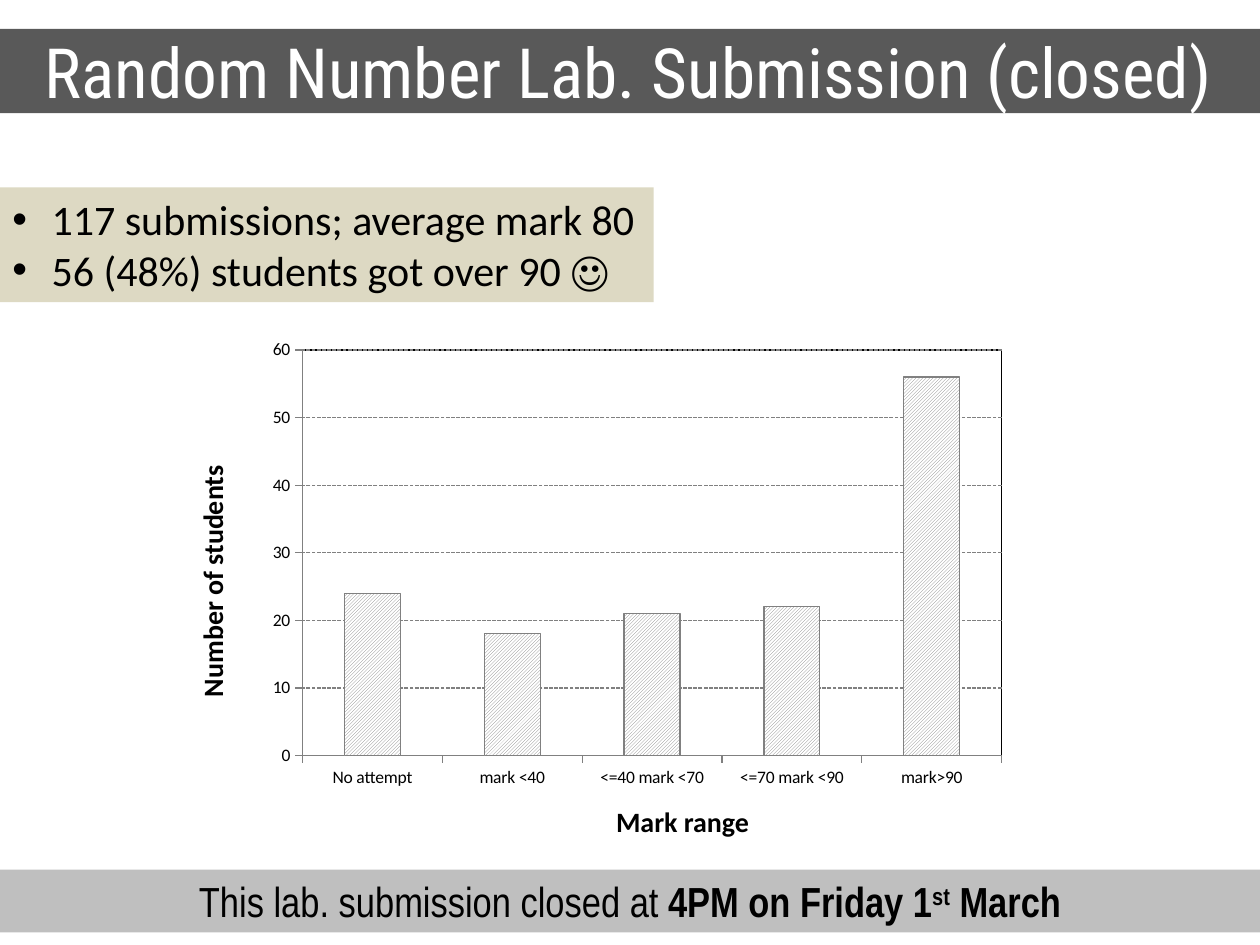
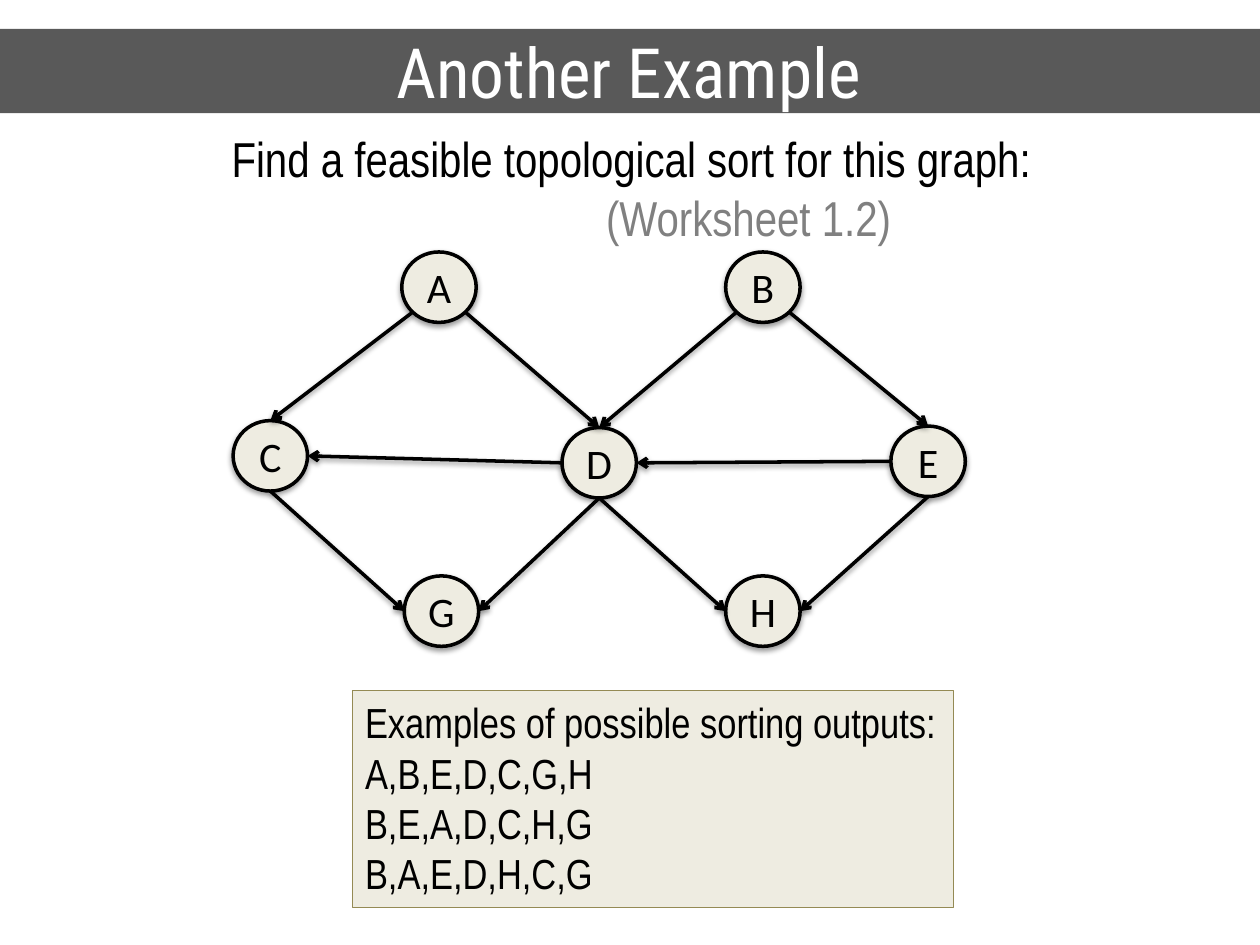
from math import cos, radians, sin

from lxml import etree
from pptx import Presentation
from pptx.chart.data import CategoryChartData
from pptx.dml.color import RGBColor
from pptx.enum.chart import XL_CHART_TYPE, XL_TICK_MARK
from pptx.enum.dml import MSO_LINE, MSO_PATTERN
from pptx.enum.shapes import MSO_CONNECTOR, MSO_SHAPE
from pptx.enum.text import MSO_ANCHOR, MSO_AUTO_SIZE, PP_ALIGN
from pptx.oxml.ns import qn
from pptx.util import Cm, Pt

LEFT, CENTER = PP_ALIGN.LEFT, PP_ALIGN.CENTER
TOP, MIDDLE = MSO_ANCHOR.TOP, MSO_ANCHOR.MIDDLE
RECTANGLE, OVAL = MSO_SHAPE.RECTANGLE, MSO_SHAPE.OVAL
STRAIGHT = MSO_CONNECTOR.STRAIGHT
COLUMN_CLUSTERED = XL_CHART_TYPE.COLUMN_CLUSTERED
TICK_OUTSIDE = XL_TICK_MARK.OUTSIDE
SHORT_DASH = MSO_LINE.SQUARE_DOT
DIAGONAL = MSO_PATTERN.LIGHT_UPWARD_DIAGONAL
NO_AUTOFIT = MSO_AUTO_SIZE.NONE

BLACK = RGBColor(0x00, 0x00, 0x00)
WHITE = RGBColor(0xFF, 0xFF, 0xFF)
CHARCOAL = RGBColor(0x59, 0x59, 0x59)
GREY = RGBColor(0x80, 0x80, 0x80)
SILVER = RGBColor(0xBF, 0xBF, 0xBF)
TAN = RGBColor(0xDD, 0xD9, 0xC3)
CREAM = RGBColor(0xEE, 0xEC, 0xE1)
OLIVE = RGBColor(0x94, 0x8A, 0x54)

TITLE_FONT, BODY_FONT, NARROW_FONT = "Roboto Condensed", "Calibri", "Arial Narrow"
TITLE_BOX = (-0.05, 0.58, 25.45, 1.7)

RESULTS_TITLE = "Random Number Lab. Submission (closed)"
RESULTS = ["117 submissions; average mark 80", "56 (48%) students got over 90 ☺"]
DEADLINE = [
    ("This lab. submission closed at ", {}),
    ("4PM on Friday 1", {"bold": True}),
    ("st", {"bold": True, "superscript": True}),
    (" March", {"bold": True}),
]
MARK_COUNTS = {
    "No attempt": 24,
    "mark <40": 18,
    "<=40 mark <70": 21,
    "<=70 mark <90": 22,
    "mark>90": 56,
}
PLOT_LAYOUT = {"x": 0.06, "y": 0.04, "w": 0.92, "h": 0.87}

EXAMPLE_TITLE = "Another Example"
TASK = "Find a feasible topological sort for this graph:"
WORKSHEET = "(Worksheet 1.2)"
SORTS = ["Examples of possible sorting outputs:", "A,B,E,D,C,G,H", "B,E,A,D,C,H,G", "B,A,E,D,H,C,G"]
NODE_WIDTH, NODE_HEIGHT = 1.5, 1.42
NODES = {
    "A": (8.85, 5.79),
    "B": (15.38, 5.79),
    "C": (5.45, 9.19),
    "D": (12.08, 9.33),
    "E": (18.71, 9.3),
    "G": (8.9, 12.32),
    "H": (15.38, 12.32),
}
ANGLES = {"right": 0, "lower right": 45, "bottom": 90, "lower left": 135, "left": 180, "top": 270}
EDGES = [
    ("A", "lower left", "C", "top"),
    ("A", "lower right", "D", "top"),
    ("D", "bottom", "G", "right"),
    ("C", "bottom", "G", "left"),
    ("D", "left", "C", "right"),
    ("B", "lower left", "D", "top"),
    ("E", "left", "D", "right"),
    ("B", "lower right", "E", "top"),
    ("D", "bottom", "H", "left"),
    ("E", "bottom", "H", "right"),
]


def lengths(values):
    return [Cm(value) for value in values]


def format_run(run, size=24, font=BODY_FONT, color=BLACK, bold=False, superscript=False):
    run.font.size = Pt(size)
    run.font.name = font
    run.font.color.rgb = color
    run.font.bold = bold
    if superscript:
        run._r.get_or_add_rPr().set("baseline", "30000")


def add_bullet(paragraph):
    properties = paragraph._p.get_or_add_pPr()
    properties.set("marL", str(Cm(0.79)))
    properties.set("indent", str(-Cm(0.79)))
    etree.SubElement(properties, qn("a:buFont")).set("typeface", "Arial")
    etree.SubElement(properties, qn("a:buChar")).set("char", "•")


def write_text(shape, paragraphs, align=LEFT, anchor=TOP, wrap=True, bullets=False, **run_format):
    frame = shape.text_frame
    frame.word_wrap = wrap
    frame.auto_size = NO_AUTOFIT
    frame.vertical_anchor = anchor
    for index, content in enumerate(paragraphs):
        paragraph = frame.add_paragraph() if index else frame.paragraphs[0]
        paragraph.alignment = align
        if bullets:
            add_bullet(paragraph)
        runs = [(content, {})] if isinstance(content, str) else content
        for text, changes in runs:
            run = paragraph.add_run()
            run.text = text
            format_run(run, **{**run_format, **changes})
    return frame


def add_label(slide, box, paragraphs, **text_format):
    label = slide.shapes.add_textbox(*lengths(box))
    write_text(label, paragraphs, **text_format)
    return label


def add_panel(slide, box, paragraphs, fill, line=None, line_width=0.75, kind=RECTANGLE, **text_format):
    panel = slide.shapes.add_shape(kind, *lengths(box))
    panel.shadow.inherit = False
    panel.fill.solid()
    panel.fill.fore_color.rgb = fill
    if line is None:
        panel.line.fill.background()
    else:
        panel.line.color.rgb = line
        panel.line.width = Pt(line_width)
    write_text(panel, paragraphs, **text_format)
    return panel


def add_titled_slide(presentation, title):
    slide = presentation.slides.add_slide(presentation.slide_layouts[5])
    shape = slide.shapes.title
    shape.left, shape.top, shape.width, shape.height = lengths(TITLE_BOX)
    shape.fill.solid()
    shape.fill.fore_color.rgb = CHARCOAL
    write_text(shape, [title], align=CENTER, anchor=MIDDLE, size=39.6, font=TITLE_FONT, color=WHITE)
    return slide


def add_soft_shadow(shape):
    properties = shape._element.spPr
    effects = properties.find(qn("a:effectLst"))
    if effects is None:
        effects = etree.SubElement(properties, qn("a:effectLst"))
    shadow = etree.SubElement(effects, qn("a:outerShdw"))
    for name, value in (("blurRad", Pt(3.1)), ("dist", Pt(1.6)), ("dir", 90 * 60000), ("rotWithShape", 0)):
        shadow.set(name, str(value))
    color = etree.SubElement(shadow, qn("a:srgbClr"))
    color.set("val", str(BLACK))
    etree.SubElement(color, qn("a:alpha")).set("val", "38000")


def place_plot(chart):
    plot_area = chart._chartSpace.chart.plotArea
    for existing in plot_area.findall(qn("c:layout")):
        plot_area.remove(existing)
    layout = etree.Element(qn("c:layout"))
    manual = etree.SubElement(layout, qn("c:manualLayout"))
    settings = {"layoutTarget": "inner", "xMode": "edge", "yMode": "edge", **PLOT_LAYOUT}
    for name, value in settings.items():
        etree.SubElement(manual, qn(f"c:{name}")).set("val", str(value))
    plot_area.insert(0, layout)
    border = etree.SubElement(etree.SubElement(plot_area, qn("c:spPr")), qn("a:ln"))
    border.set("w", str(Pt(0.75)))
    fill = etree.SubElement(border, qn("a:solidFill"))
    etree.SubElement(fill, qn("a:srgbClr")).set("val", str(BLACK))


def style_line(line):
    line.color.rgb = GREY
    line.width = Pt(0.75)


def add_mark_chart(slide, box):
    data = CategoryChartData()
    data.categories = list(MARK_COUNTS)
    data.add_series("Series 1", list(MARK_COUNTS.values()))
    chart = slide.shapes.add_chart(COLUMN_CLUSTERED, *lengths(box), data).chart
    chart.has_legend = False
    chart.has_title = False
    chart.font.size = Pt(10)
    chart.font.name = BODY_FONT
    chart.font.color.rgb = BLACK
    for axis in (chart.category_axis, chart.value_axis):
        axis.major_tick_mark = TICK_OUTSIDE
        style_line(axis.format.line)
    value_axis = chart.value_axis
    value_axis.minimum_scale, value_axis.maximum_scale, value_axis.major_unit = 0, 60, 10
    value_axis.has_major_gridlines = True
    gridline = value_axis.major_gridlines.format.line
    style_line(gridline)
    gridline.dash_style = SHORT_DASH
    plot = chart.plots[0]
    plot.gap_width = 150
    plot.vary_by_categories = False
    series = plot.series[0]
    series.invert_if_negative = False
    fill = series.format.fill
    fill.patterned()
    fill.pattern = DIAGONAL
    fill.fore_color.rgb = GREY
    fill.back_color.rgb = WHITE
    style_line(series.format.line)
    place_plot(chart)


def node_point(name, side):
    x, y = NODES[name]
    angle = radians(ANGLES[side])
    return x + NODE_WIDTH / 2 * cos(angle), y + NODE_HEIGHT / 2 * sin(angle)


def add_graph(slide):
    for name, (x, y) in NODES.items():
        box = (x - NODE_WIDTH / 2, y - NODE_HEIGHT / 2, NODE_WIDTH, NODE_HEIGHT)
        node = add_panel(slide, box, [name], CREAM, line=BLACK, line_width=2, kind=OVAL,
                         align=CENTER, anchor=MIDDLE, wrap=False)
        add_soft_shadow(node)
    for start, start_side, end, end_side in EDGES:
        points = node_point(start, start_side) + node_point(end, end_side)
        arrow = slide.shapes.add_connector(STRAIGHT, *lengths(points))
        arrow.line.color.rgb = BLACK
        arrow.line.width = Pt(2)
        line = arrow._element.spPr.find(qn("a:ln"))
        etree.SubElement(line, qn("a:tailEnd")).set("type", "arrow")
        add_soft_shadow(arrow)


def build_results_slide(presentation):
    slide = add_titled_slide(presentation, RESULTS_TITLE)
    add_panel(slide, (0, 3.78, 13.18, 2.31), RESULTS, TAN, bullets=True)
    add_panel(slide, (0, 17.53, 25.4, 1.27), [DEADLINE], SILVER, align=CENTER, font=NARROW_FONT)
    axis_label = {"size": 16, "bold": True, "wrap": False}
    vertical_label = add_label(slide, (1.65, 11.2, 5.26, 0.94), ["Number of students"], **axis_label)
    vertical_label.rotation = 270
    add_label(slide, (12.17, 16.1, 3.25, 0.94), ["Mark range"], **axis_label)
    add_mark_chart(slide, (5.18, 6.68, 15.32, 9.4))


def build_example_slide(presentation):
    slide = add_titled_slide(presentation, EXAMPLE_TITLE)
    task = add_label(slide, (4.42, 2.46, 16.79, 2.64),
                     [TASK, [(WORKSHEET, {"color": GREY})]], size=28, font=NARROW_FONT)
    worksheet = task.text_frame.paragraphs[1]
    worksheet.alignment = CENTER
    worksheet._p.get_or_add_pPr().set("marL", str(Cm(4.55)))
    add_panel(slide, (7.11, 13.92, 12.12, 4.37), SORTS, CREAM, line=OLIVE, font=NARROW_FONT)
    add_graph(slide)


def main():
    presentation = Presentation()
    presentation.slide_width, presentation.slide_height = Cm(25.4), Cm(19.05)
    build_results_slide(presentation)
    build_example_slide(presentation)
    presentation.save("out.pptx")


if __name__ == "__main__":
    main()
